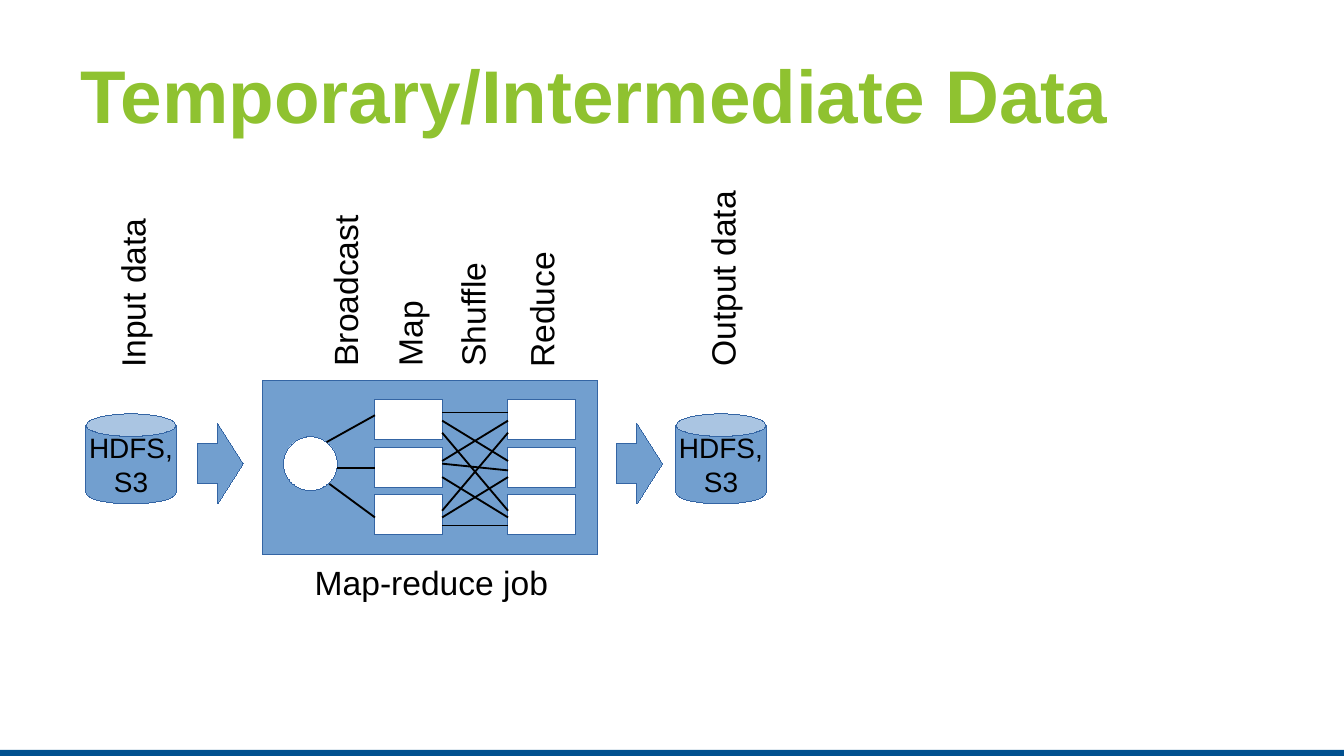
from dataclasses import dataclass

from lxml.etree import SubElement
from pptx import Presentation
from pptx.dml.color import RGBColor
from pptx.enum.shapes import MSO_CONNECTOR, MSO_SHAPE
from pptx.enum.text import MSO_ANCHOR, MSO_AUTO_SIZE, PP_ALIGN
from pptx.oxml.ns import qn
from pptx.util import Inches, Pt

BLUE = "729FCF"
OUTLINE = "3465A4"
WHITE = "FFFFFF"
BLACK = "000000"
GREEN = "8FC230"
NAVY = "00508F"

MAP_X, REDUCE_X = 2.79, 3.78
TASK_W, TASK_H = 0.5, 0.3
TASK_TOPS = (2.97, 3.33, 3.68)
MAP_PORTS = ((3.07, 3.13, 3.22), (3.43, 3.45, 3.55), (3.8, 3.85, 3.91))
REDUCE_PORTS = ((3.07, 3.13, 3.22), (3.43, 3.5, 3.55), (3.8, 3.85, 3.91))


@dataclass
class Label:
    text: str
    x: float
    y: float
    w: float = 1.35
    h: float = 0.4


LABELS = (
    Label("Broadcast", 1.89, 1.95),
    Label("Shuffle", 2.84, 1.95),
    Label("Map", 2.37, 1.95),
    Label("Reduce", 3.35, 1.96),
    Label("Input data", 0.31, 1.96),
    Label("Output data", 4.69, 1.68, 1.63, 0.66),
)


def rgb(color: str) -> RGBColor:
    return RGBColor.from_string(color)


def write(tf, text: str, size: float = 18, color: str = BLACK, bold: bool = False,
          align=PP_ALIGN.LEFT, anchor=MSO_ANCHOR.TOP, wrap: bool = True) -> None:
    tf.word_wrap = wrap
    tf.auto_size = MSO_AUTO_SIZE.NONE
    tf.vertical_anchor = anchor
    for i, line in enumerate(text.split("\n")):
        p = tf.add_paragraph() if i else tf.paragraphs[0]
        p.alignment = align
        r = p.add_run()
        r.text = line
        r.font.name = "Arial"
        r.font.size = Pt(size)
        r.font.bold = bold
        r.font.color.rgb = rgb(color)


def add_shape(s, kind, x: float, y: float, w: float, h: float,
              fill: str = BLUE, line: str | None = OUTLINE, adjust=()):
    sp = s.shapes.add_shape(kind, Inches(x), Inches(y), Inches(w), Inches(h))
    sp.shadow.inherit = False
    sp.fill.solid()
    sp.fill.fore_color.rgb = rgb(fill)
    if line:
        sp.line.color.rgb = rgb(line)
        sp._element.spPr.find(qn("a:ln")).set("w", "0")
    else:
        sp.line.fill.background()
    for i, value in enumerate(adjust):
        sp.adjustments[i] = value
    return sp


def add_text(s, text: str, x: float, y: float, w: float, h: float,
             rotation: float = 0, **fmt) -> None:
    sp = s.shapes.add_textbox(Inches(x), Inches(y), Inches(w), Inches(h))
    sp.rotation = rotation
    write(sp.text_frame, text, **fmt)


def add_line(s, x1: float, y1: float, x2: float, y2: float):
    c = s.shapes.add_connector(MSO_CONNECTOR.STRAIGHT, Inches(x1), Inches(y1),
                               Inches(x2), Inches(y2))
    c.line.color.rgb = rgb(BLACK)
    c.line.width = Pt(1)
    SubElement(c._element.spPr, qn("a:effectLst"))
    return c


def add_tasks(s, x: float) -> list:
    return [add_shape(s, MSO_SHAPE.RECTANGLE, x, y, TASK_W, TASK_H, fill=WHITE)
            for y in TASK_TOPS]


def add_store(s, x: float) -> None:
    sp = add_shape(s, MSO_SHAPE.CAN, x, 3.08, 0.67, 0.67, adjust=(0.25,))
    write(sp.text_frame, "HDFS,\nS3", size=15, align=PP_ALIGN.CENTER,
          anchor=MSO_ANCHOR.MIDDLE, wrap=False)


def add_arrow(s, x: float) -> None:
    add_shape(s, MSO_SHAPE.RIGHT_ARROW, x, 3.15, 0.34, 0.6, adjust=(0.49, 0.56))


def add_title(s, text: str) -> None:
    sp = s.shapes.title
    sp.left, sp.top, sp.width, sp.height = map(Inches, (0.5, 0.23, 9, 0.94))
    write(sp.text_frame, text, size=40, color=GREEN, bold=True,
          anchor=MSO_ANCHOR.MIDDLE)


def add_job(s) -> None:
    add_shape(s, MSO_SHAPE.RECTANGLE, 1.95, 2.83, 2.5, 1.3)
    add_shape(s, MSO_SHAPE.OVAL, 2.11, 3.25, 0.4, 0.4, fill=WHITE)
    maps = add_tasks(s, MAP_X)
    add_tasks(s, REDUCE_X)
    for i, ports in enumerate(REDUCE_PORTS):
        for j, y in enumerate(ports):
            add_line(s, REDUCE_X, y, MAP_X + TASK_W, MAP_PORTS[j][i])
    add_line(s, 2.43, 3.29, MAP_X, 3.09)
    add_line(s, 2.51, 3.48, MAP_X, 3.48).end_connect(maps[1], 1)
    add_line(s, 2.45, 3.6, MAP_X, 3.85)
    add_text(s, "Map-reduce job", 1.95, 4.13, 2.52, 0.38, align=PP_ALIGN.CENTER)


def main() -> None:
    prs = Presentation()
    prs.slide_width = Inches(10)
    prs.slide_height = prs.slide_width * 9 // 16
    s = prs.slides.add_slide(prs.slide_layouts[5])
    add_shape(s, MSO_SHAPE.RECTANGLE, 0, 5.58, 10, 0.05, fill=NAVY, line=None)
    add_title(s, "Temporary/Intermediate Data")
    add_job(s)
    for label in LABELS:
        add_text(s, label.text, label.x, label.y, label.w, label.h, rotation=270)
    for x in (1.47, 4.59):
        add_arrow(s, x)
    for x in (0.64, 5.03):
        add_store(s, x)
    prs.save("out.pptx")


if __name__ == "__main__":
    main()
